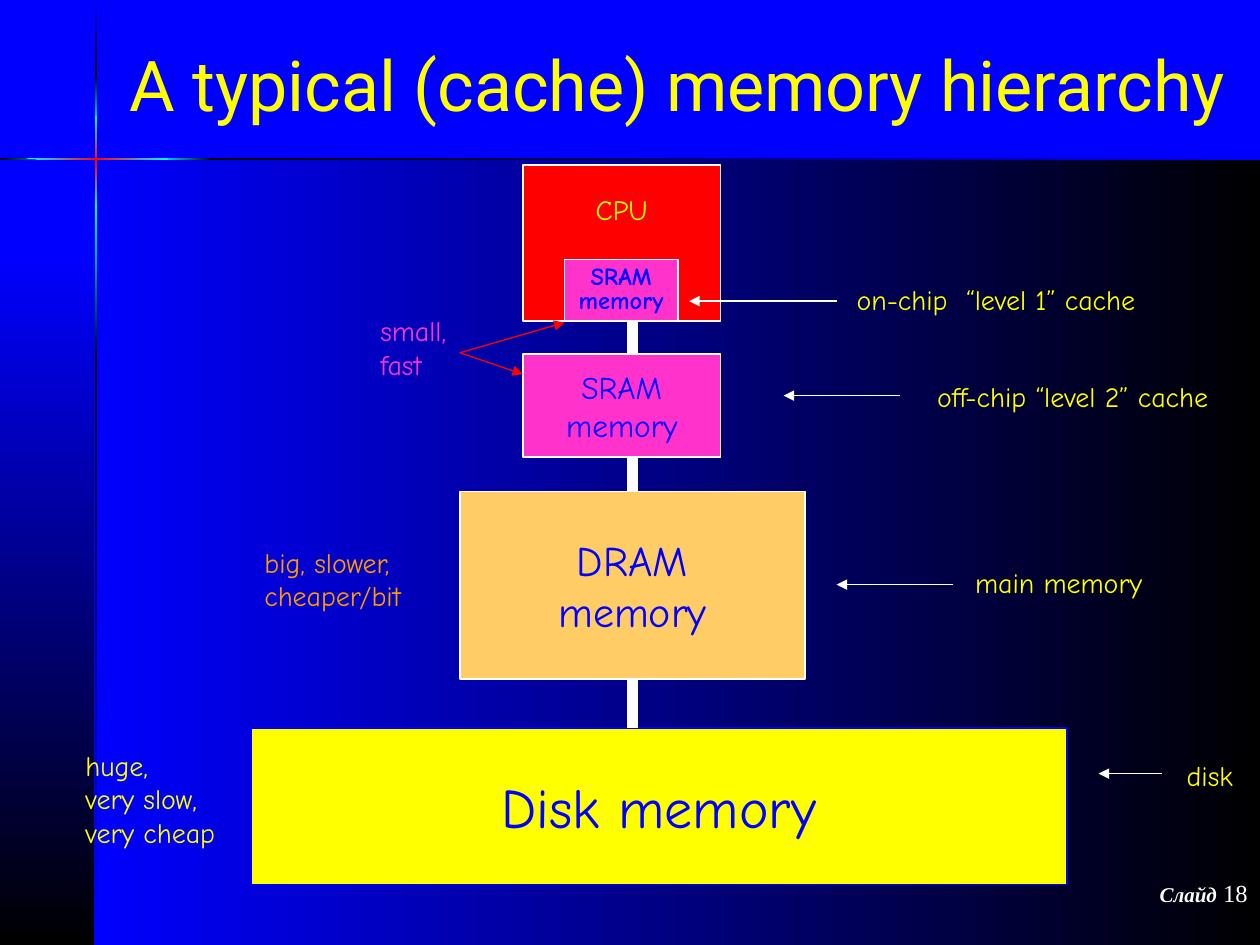
from lxml import etree
from pptx import Presentation
from pptx.dml.color import RGBColor
from pptx.enum import shapes, text
from pptx.oxml.ns import qn
from pptx.util import Inches, Pt

COLORS = {
    "blue": "0000FF", "black": "000000", "cyan": "00FFFF", "red": "FF0000",
    "white": "FFFFFF", "yellow": "FFFF00", "pink": "FF33CC",
    "sand": "FFCC66", "orange": "FF9900",
}
FONT = "Comic Neue"

TITLE = "A typical (cache) memory hierarchy"
# left, top, width, height, gradient colours, clockwise angle
PANELS = [
    (0.75, 1.25, 9.25, 6.25, ("blue", "black"), 0),
    (0, 2.02, 0.75, 5.48, ("blue", "black"), 90),
    (0.75, 0.01, 0.02, 0.58, ("blue", "black"), 90),
    (0.75, 2.82, 0.02, 4.68, ("black", "blue"), 90),
    (0.75, 1.63, 0.02, 1.22, ("cyan", "black"), 90),
    (0.75, 0.58, 0.02, 0.44, ("black", "cyan"), 90),
    (0.75, 0.92, 0.02, 0.73, ("cyan", "red", "cyan"), 90),
    (0, 1.25, 0.61, 0.02, ("black", "cyan"), 0),
    (1.67, 1.25, 8.33, 0.02, ("black", "blue"), 0),
    (1.25, 1.25, 0.44, 0.02, ("cyan", "black"), 0),
]
GLINT = [(0.21, 1.26), (0.6, 1.27), (1.33, 1.27), (1.33, 1.25), (0.6, 1.25)]
# name: box, fill, outline, lines, text format
LEVELS = {
    "cpu": ((4.15, 1.31, 1.57, 1.24), "red", "white", ["CPU"],
            dict(size=16, color="yellow", bottom=0.59)),
    "level 1": ((4.48, 2.06, 0.9, 0.49), "pink", "white", ["SRAM", "memory"],
                dict(size=14, bold=True, spacing=0.8)),
    "level 2": ((4.15, 2.81, 1.57, 0.82), "pink", "white", ["SRAM", "memory"],
                dict(size=18)),
    "dram": ((3.65, 3.9, 2.74, 1.49), "sand", "white", ["DRAM", "memory"],
             dict(size=24)),
    "disk": ((1.99, 5.78, 6.48, 1.24), "yellow", "blue", ["Disk memory"],
             dict(size=32)),
}
# label, label box, arrow start x, arrow tip x, arrow y
CALLOUTS = [
    ("on-chip  “level 1” cache", (6.7, 2.19, 2.42, 0.36), 6.64, 5.47, 2.39),
    ("off-chip “level 2” cache", (7.34, 2.96, 2.37, 0.36), 7.14, 6.22, 3.14),
    ("main memory", (7.64, 4.44, 1.53, 0.36), 7.56, 6.64, 4.64),
    ("disk", (9.32, 5.97, 0.57, 0.36), 9.22, 8.72, 6.14),
]
TRAITS = [
    (["small,", "fast"], (2.92, 2.44, 0.8, 0.63), "pink"),
    (["big, slower,", "cheaper/bit"], (2, 4.28, 1.3, 0.63), "orange"),
    (["huge,", "very slow,", "very cheap"], (0.58, 5.89, 1.23, 0.9), "yellow"),
]
FAST_ORIGIN = (3.65, 2.8)
FAST_TIPS = [(4.15, 2.97), (4.48, 2.56)]


def rgb(name):
    return RGBColor.from_string(COLORS[name])


def inches(values):
    return [Inches(v) for v in values]


def write(frame, lines, size=16, color="yellow", font=FONT, bold=False,
          align=text.PP_ALIGN.LEFT, anchor=text.MSO_ANCHOR.TOP, spacing=None,
          bottom=0.05, wrap=False):
    frame.word_wrap = wrap
    frame.vertical_anchor = anchor
    frame.margin_left = frame.margin_right = Inches(0.1)
    frame.margin_top, frame.margin_bottom = Inches(0.05), Inches(bottom)
    for i, line in enumerate(lines):
        paragraph = frame.add_paragraph() if i else frame.paragraphs[0]
        paragraph.alignment = align
        if spacing:
            paragraph.line_spacing = spacing
        run = paragraph.add_run()
        run.text = line
        run.font.size, run.font.name, run.font.bold = Pt(size), font, bold
        run.font.color.rgb = rgb(color)


def add_label(slide, box, lines, **style):
    frame = slide.shapes.add_textbox(*inches(box)).text_frame
    write(frame, lines, **style)
    frame.auto_size = text.MSO_AUTO_SIZE.SHAPE_TO_FIT_TEXT


def shade(shape, colors, angle):
    """Fill with evenly spaced gradient stops and no outline."""
    shape.shadow.inherit = False
    shape.line.fill.background()
    shape.fill.gradient()
    shape.fill.gradient_angle = -angle % 360
    stops = shape.element.spPr.find(".//" + qn("a:gsLst"))
    for stop in list(stops):
        stops.remove(stop)
    for i, name in enumerate(colors):
        position = str(100000 * i // (len(colors) - 1))
        stop = etree.SubElement(stops, qn("a:gs"), pos=position)
        etree.SubElement(stop, qn("a:srgbClr"), val=COLORS[name])


def add_line(slide, start, end, color="white", width=1, arrow=True):
    line = slide.shapes.add_connector(
        shapes.MSO_CONNECTOR.STRAIGHT, *inches(start + end))
    line.line.color.rgb = rgb(color)
    line.line.width = Pt(width)
    if arrow:
        etree.SubElement(line.line._get_or_add_ln(), qn("a:tailEnd"), type="triangle")
    etree.SubElement(line.element.spPr, qn("a:effectLst"))
    return line


def add_backdrop(slide):
    slide.background.fill.solid()
    slide.background.fill.fore_color.rgb = rgb("blue")
    for *box, colors, angle in PANELS:
        panel = slide.shapes.add_shape(shapes.MSO_SHAPE.RECTANGLE, *inches(box))
        shade(panel, colors, angle)
    points = [inches(point) for point in GLINT]
    outline = slide.shapes.build_freeform(*points[0])
    outline.add_line_segments(points[1:], close=True)
    shade(outline.convert_to_shape(), ("cyan", "red", "cyan"), 0)


def add_title(slide):
    title = slide.shapes.title
    title.left, title.top, title.width, title.height = inches((0.75, 0.08, 9.25, 1.17))
    write(title.text_frame, [TITLE], size=40, font="Roboto", wrap=True,
          align=text.PP_ALIGN.CENTER, anchor=text.MSO_ANCHOR.MIDDLE)
    title.element.getparent().append(title.element)  # in front of the backdrop


def add_slide_number(slide):
    frame = slide.shapes.add_textbox(*inches((7.92, 6.92, 2.08, 0.5))).text_frame
    write(frame, ["Слайд", ], size=12, color="white", font="Times New Roman",
          bold=True, align=text.PP_ALIGN.RIGHT, wrap=True)
    word = frame.paragraphs[0].runs[0]
    word.font.italic = True
    number = frame.paragraphs[0].add_run()
    number.text = " 18"
    number.font.size, number.font.name = Pt(14), "Times New Roman"
    number.font.color.rgb = rgb("white")


def add_levels(slide):
    boxes = {}
    for name, (box, fill, outline, lines, style) in LEVELS.items():
        level = slide.shapes.add_shape(shapes.MSO_SHAPE.RECTANGLE, *inches(box))
        level.shadow.inherit = False
        level.fill.solid()
        level.fill.fore_color.rgb = rgb(fill)
        level.line.color.rgb = rgb(outline)
        level.line.width = Pt(1)
        write(level.text_frame, lines, **{"color": "blue", **style},
              align=text.PP_ALIGN.CENTER, anchor=text.MSO_ANCHOR.MIDDLE)
        boxes[name] = level
    return boxes


def add_buses(slide, boxes):
    """Join each level to the next, on the centre line of the DRAM box."""
    left, _, width, _ = LEVELS["dram"][0]
    x = left + width / 2
    chain = ["cpu", "level 2", "dram", "disk"]
    for upper, lower in zip(chain, chain[1:]):
        _, top, _, height = LEVELS[upper][0]
        bus = add_line(slide, (x, top + height), (x, LEVELS[lower][0][1]),
                       width=6, arrow=False)
        if upper == "dram":
            bus.begin_connect(boxes[upper], 2)
        if lower == "dram":
            bus.end_connect(boxes[lower], 0)


def main():
    deck = Presentation()
    deck.slide_width, deck.slide_height = inches((10, 7.5))
    slide = deck.slides.add_slide(deck.slide_layouts[5])
    add_backdrop(slide)
    add_slide_number(slide)
    add_title(slide)
    boxes = add_levels(slide)
    for label, box, start, tip, y in CALLOUTS:
        add_line(slide, (start, y), (tip, y))
        add_label(slide, box, [label])
    for lines, box, color in TRAITS:
        add_label(slide, box, lines, color=color)
    add_buses(slide, boxes)
    for tip in FAST_TIPS:
        add_line(slide, FAST_ORIGIN, tip, color="red", width=0.75)
    deck.save("out.pptx")


if __name__ == "__main__":
    main()
